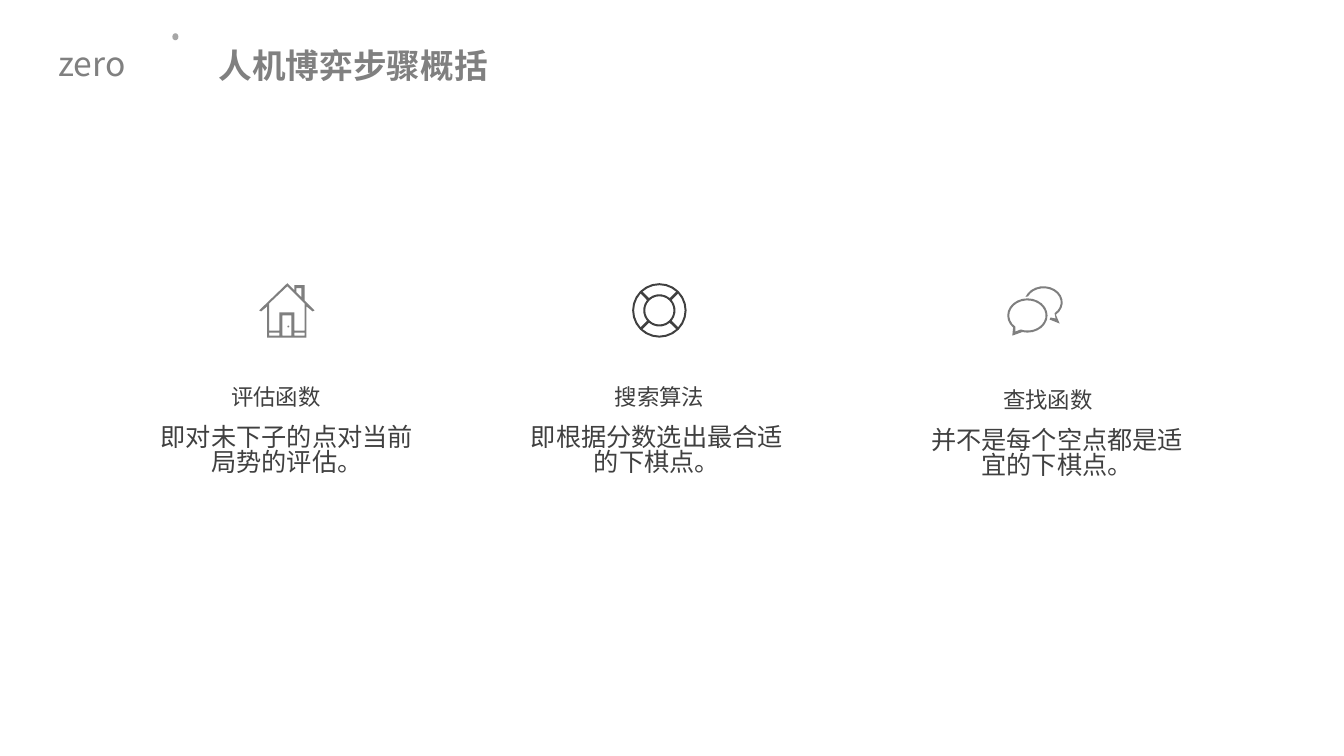
from math import cos, radians, sin

from lxml import etree
from pptx import Presentation
from pptx.dml.color import RGBColor
from pptx.enum.shapes import MSO_SHAPE
from pptx.enum.text import MSO_ANCHOR, MSO_AUTO_SIZE, PP_ALIGN
from pptx.oxml.ns import qn
from pptx.util import Inches, Pt

OVAL = MSO_SHAPE.OVAL
MIDDLE = MSO_ANCHOR.MIDDLE
GROW = MSO_AUTO_SIZE.SHAPE_TO_FIT_TEXT
LEFT = PP_ALIGN.LEFT
CENTER = PP_ALIGN.CENTER

FONT = "Noto Sans CJK SC"
DOT_GRAY = RGBColor(0xA6, 0xA6, 0xA6)
HEADING_GRAY = RGBColor(0x80, 0x80, 0x80)
ICON_GRAY = RGBColor(0x7F, 0x7F, 0x7F)
DARK = RGBColor(0x40, 0x40, 0x40)

STEPS = [
    ("评估函数", 1.89, 1.69, "即对未下子的点对当前局势的评估。", 1.48, 3.75),
    ("搜索算法", 5.82, 1.44, "即根据分数选出最合适的下棋点。", 5.15, 3.75),
    ("查找函数", 9.56, 1.67, "并不是每个空点都是适宜的下棋点。", 9.12, 3.78),
]


def write(frame, text, size, color, align, spacing=None, bold=False):
    """Fill the first paragraph of a text frame."""
    para = frame.paragraphs[0]
    para.alignment = align
    if spacing is not None:
        para.line_spacing = spacing
    span = para.add_run()
    span.text = text
    span.font.name = FONT
    span.font.size = Pt(size)
    span.font.bold = bold
    span.font.color.rgb = color
    east_asian = etree.SubElement(span.font._element, qn("a:ea"))
    east_asian.set("typeface", FONT)


def add_text(page, text, place, size, color, spacing=None, wrap=True):
    """Add a centred text box that grows with its text."""
    frame = page.shapes.add_textbox(*map(Inches, place)).text_frame
    frame.word_wrap = wrap
    frame.auto_size = GROW
    write(frame, text, size, color, CENTER, spacing)


def paint(shape, color):
    """Give a shape a plain fill without line or shadow."""
    shape.shadow.inherit = False
    shape.fill.solid()
    shape.fill.fore_color.rgb = color
    shape.line.fill.background()


def add_outline(page, contours):
    """Build one freeform from closed contours."""
    outlines = [[(Inches(x), Inches(y)) for x, y in contour] for contour in contours]
    builder = page.shapes.build_freeform(*outlines[0][0])
    for index, outline in enumerate(outlines):
        if index:
            builder.move_to(*outline[0])
        builder.add_line_segments(outline[1:], close=True)
    return builder.convert_to_shape()


def arc(center, radii, start, end, pitch=15):
    """Return points along an elliptical arc, in degrees clockwise."""
    steps = round(abs(end - start) / pitch)
    angles = [radians(start + (end - start) * step / steps) for step in range(steps + 1)]
    return [(center[0] + radii[0] * cos(angle), center[1] + radii[1] * sin(angle))
            for angle in angles]


def rectangle(left, top, right, bottom):
    """Return the corners of a rectangle."""
    return [(left, top), (right, top), (right, bottom), (left, bottom)]


def add_house(page):
    """Draw the house icon."""
    outside = [(2.85, 2.81), (2.92, 2.88), (2.92, 2.83), (3.02, 2.83), (3.02, 2.98),
               (3.12, 3.08), (3.1, 3.09), (3.04, 3.04), (3.04, 3.35), (2.65, 3.35),
               (2.65, 3.04), (2.59, 3.09), (2.57, 3.08)]
    wall = [(3.02, 3.28), (2.92, 3.28), (2.92, 3.1), (2.77, 3.1), (2.77, 3.28),
            (2.67, 3.28), (2.67, 3.01), (2.85, 2.84), (3.02, 3.01)]
    chimney = [(2.94, 2.86), (2.99, 2.86), (2.99, 2.95), (2.94, 2.9)]
    door = rectangle(2.8, 3.13, 2.89, 3.33)
    plinths = [rectangle(left, 3.3, left + 0.1, 3.33) for left in (2.67, 2.92)]
    knob = arc((2.86, 3.24), (0.01, 0.01), 0, 360, 60)
    paint(add_outline(page, [outside, wall, chimney, door, *plinths, knob]), ICON_GRAY)


def add_lifebuoy(page):
    """Draw the lifebuoy icon."""
    center = (6.54, 3.08)
    rims = [arc(center, (radius, radius), 0, 360) for radius in (0.27, 0.14)]
    panels = [arc(center, (0.25, 0.25), turn - 42, turn + 42)
              + arc(center, (0.16, 0.16), turn + 40, turn - 40)
              for turn in range(0, 360, 90)]
    paint(add_outline(page, rims + panels), DARK)


def add_bubbles(page):
    """Draw the two speech bubbles."""
    front, back = (10.19, 3.13), (10.35, 3)
    outside = arc(front, (0.2, 0.17), 135, 465) + [(10.04, 3.33)]
    inside = arc(front, (0.18, 0.15), 132, 472) + [(10.07, 3.29)]
    behind = (arc(back, (0.19, 0.16), 200, 410)
              + [(10.51, 3.21), (10.41, 3.17), (10.42, 3.15), (10.47, 3.16)]
              + arc(back, (0.17, 0.14), 410, 205))
    paint(add_outline(page, [outside, inside, behind]), ICON_GRAY)


def add_title(page, text):
    """Add the slide title in an unfilled outline."""
    shape = add_outline(page, [rectangle(1.9, 0.33, 6.73, 1.01)])
    shape.shadow.inherit = False
    shape.fill.background()
    shape.line.fill.background()
    frame = shape.text_frame
    frame.word_wrap = True
    frame.vertical_anchor = MIDDLE
    frame.margin_left, frame.margin_right = Inches(0.27), Inches(0.3)
    frame.margin_top = frame.margin_bottom = Inches(0.17)
    write(frame, text, 24, HEADING_GRAY, LEFT, 0.9, bold=True)


def add_heading(page):
    """Add the dot, the label and the slide title."""
    paint(page.shapes.add_shape(OVAL, *map(Inches, (1.71, 0.33, 0.06, 0.07))), DOT_GRAY)
    add_text(page, "zero", (0.47, 0.38, 0.88, 0.5), 24, HEADING_GRAY, wrap=False)
    add_title(page, "人机博弈步骤概括")


def add_step(page, name, name_left, name_width, detail, detail_left, top):
    """Add the name of a step and its explanation."""
    add_text(page, name, (name_left, top, name_width, 0.37), 16, DARK)
    add_text(page, detail, (detail_left, top + 0.43, 2.73, 0.61), 18, DARK, Pt(18))


def main():
    """Build the slide and save it."""
    deck = Presentation()
    deck.slide_width, deck.slide_height = Inches(13.33), Inches(7.5)
    page = deck.slides.add_slide(deck.slide_layouts[6])
    add_heading(page)
    add_house(page)
    add_lifebuoy(page)
    add_bubbles(page)
    for step in STEPS:
        add_step(page, *step)
    deck.save("out.pptx")


if __name__ == "__main__":
    main()
